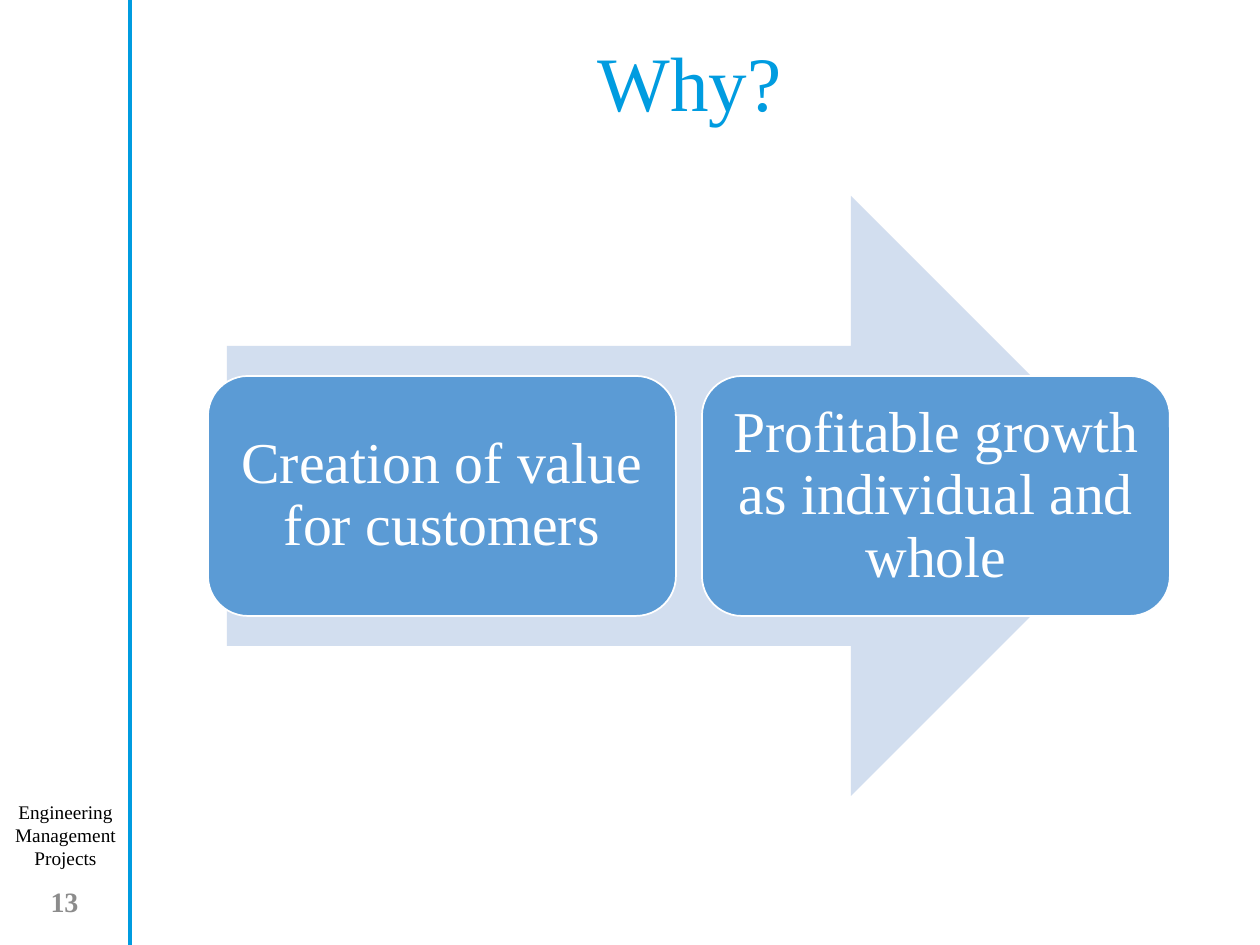
from lxml import etree
from pptx import Presentation
from pptx import util as u
from pptx.dml.color import RGBColor
from pptx.enum import shapes, text
from pptx.oxml.ns import qn

FONT = "Times New Roman"
COLORS = {"accent": "009CE0", "black": "000000", "gray": "8C8C8C",
          "arrow": "D2DEEF", "box": "5B9BD5", "white": "FFFFFF"}
LABELS = [
    ("Engineering Management Projects", (0, 794, 131, 83),
     dict(size=11, color="black", anchor="TOP")),
    ("Why?", (205, 28, 969, 117), dict(size=44, color="accent", spacing=0.9)),
    ("13", (-1, 876, 131, 50), dict(size=16, color="gray", bold=True)),
]
STEPS = ["Creation of value for customers", "Profitable growth as individual and whole"]
WIDTH, HEIGHT = 1260, 945
DIVIDER_X = 130
ARROW = (227, 196, 924, 600)
STEP_LEFT, STEP_WIDTH, STEP_HEIGHT, STEP_GAP = 208, 468, 240, 26
STEP_INSET = 18


def px(value):
    return u.Emu(round(value * 914400 / 126))


def rgb(name):
    return RGBColor.from_string(COLORS[name])


def write(shape, content, size, color, bold=False, spacing=None, anchor="MIDDLE", inset=None):
    frame = shape.text_frame
    frame.word_wrap = True
    frame.vertical_anchor = text.MSO_ANCHOR[anchor]
    if inset is not None:
        frame.margin_left = frame.margin_right = px(inset)
        frame.margin_top = frame.margin_bottom = px(inset)
    paragraph = frame.paragraphs[0]
    paragraph.alignment = text.PP_ALIGN.CENTER
    if spacing:
        paragraph.line_spacing = spacing
    run = paragraph.add_run()
    run.text = content
    run.font.name = FONT
    run.font.size = u.Pt(size)
    run.font.bold = bold
    run.font.color.rgb = rgb(color)


def add_block(slide, kind, box, fill, line=None):
    shape = slide.shapes.add_shape(kind, *map(px, box))
    shape.shadow.inherit = False
    shape.fill.solid()
    shape.fill.fore_color.rgb = rgb(fill)
    if line:
        shape.line.color.rgb = rgb(line)
        shape.line.width = u.Pt(1)
    else:
        shape.line.fill.background()
    return shape


def main():
    presentation = Presentation()
    presentation.slide_width, presentation.slide_height = px(WIDTH), px(HEIGHT)
    slide = presentation.slides.add_slide(presentation.slide_layouts[6])

    divider = slide.shapes.add_connector(
        shapes.MSO_CONNECTOR.STRAIGHT, px(DIVIDER_X), 0, px(DIVIDER_X), px(HEIGHT))
    divider.line.color.rgb = rgb("accent")
    divider.line.width = u.Pt(2.75)
    etree.SubElement(divider._element.spPr, qn("a:effectLst"))

    for content, box, style in LABELS:
        write(slide.shapes.add_textbox(*map(px, box)), content, **style)

    add_block(slide, shapes.MSO_SHAPE.RIGHT_ARROW, ARROW, "arrow")
    step_top = ARROW[1] + (ARROW[3] - STEP_HEIGHT) / 2
    for index, content in enumerate(STEPS):
        left = STEP_LEFT + index * (STEP_WIDTH + STEP_GAP)
        step = add_block(slide, shapes.MSO_SHAPE.ROUNDED_RECTANGLE,
                         (left, step_top, STEP_WIDTH, STEP_HEIGHT), "box", "white")
        write(step, content, size=33, color="white", spacing=0.9, inset=STEP_INSET)

    presentation.save("out.pptx")


if __name__ == "__main__":
    main()
